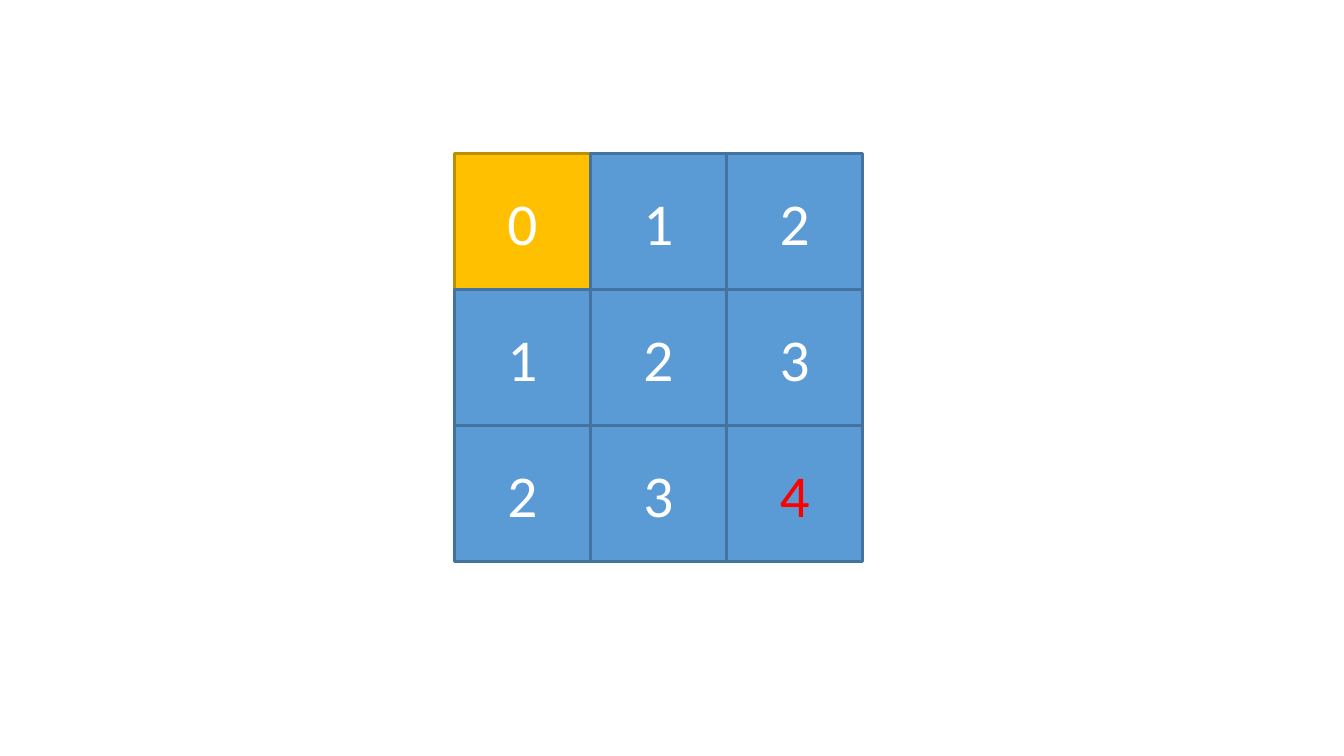
import pptx
import pptx.util
import pptx.dml.color
import pptx.enum.shapes
import pptx.enum.text
from dataclasses import dataclass
from pptx.util import Cm

# Content: steps needed to reach each cell from the start
distances = [
    [0, 1, 2],
    [1, 2, 3],
    [2, 3, 4],
]
start_cell = (0, 0)
goal_cell = (2, 2)


# Theme
@dataclass(frozen=True)
class Theme:
    font: str = "Calibri"
    digit_size: int = 20
    border_width: int = 1
    start_fill: str = "FFC000"
    start_border: str = "BD8E00"
    cell_fill: str = "5B9BD5"
    cell_border: str = "43739E"
    digit: str = "FFFFFF"
    goal_digit: str = "FF0000"


theme = Theme()
rgb = pptx.dml.color.RGBColor.from_string

# Grid geometry
grid_left, grid_top = Cm(5.41), Cm(1.83)
cell_side = Cm(1.62)

# Slide
deck = pptx.Presentation()
deck.slide_width, deck.slide_height = Cm(16), Cm(9)
slide = deck.slides.add_slide(deck.slide_layouts[6])


def add_cell(row, column, distance):
    is_start = (row, column) == start_cell
    is_goal = (row, column) == goal_cell
    cell = slide.shapes.add_shape(
        pptx.enum.shapes.MSO_SHAPE.RECTANGLE,
        grid_left + column * cell_side, grid_top + row * cell_side,
        cell_side, cell_side)
    cell.shadow.inherit = False
    cell.fill.solid()
    cell.fill.fore_color.rgb = rgb(theme.start_fill if is_start else theme.cell_fill)
    cell.line.color.rgb = rgb(theme.start_border if is_start else theme.cell_border)
    cell.line.width = pptx.util.Pt(theme.border_width)

    cell.text_frame.text = str(distance)
    cell.text_frame.vertical_anchor = pptx.enum.text.MSO_ANCHOR.MIDDLE
    paragraph = cell.text_frame.paragraphs[0]
    paragraph.alignment = pptx.enum.text.PP_ALIGN.CENTER
    digit_font = paragraph.runs[0].font
    digit_font.name = theme.font
    digit_font.size = pptx.util.Pt(theme.digit_size)
    digit_font.color.rgb = rgb(theme.goal_digit if is_goal else theme.digit)


# Distance grid
for row, row_distances in enumerate(distances):
    for column, distance in enumerate(row_distances):
        add_cell(row, column, distance)

deck.save("out.pptx")
